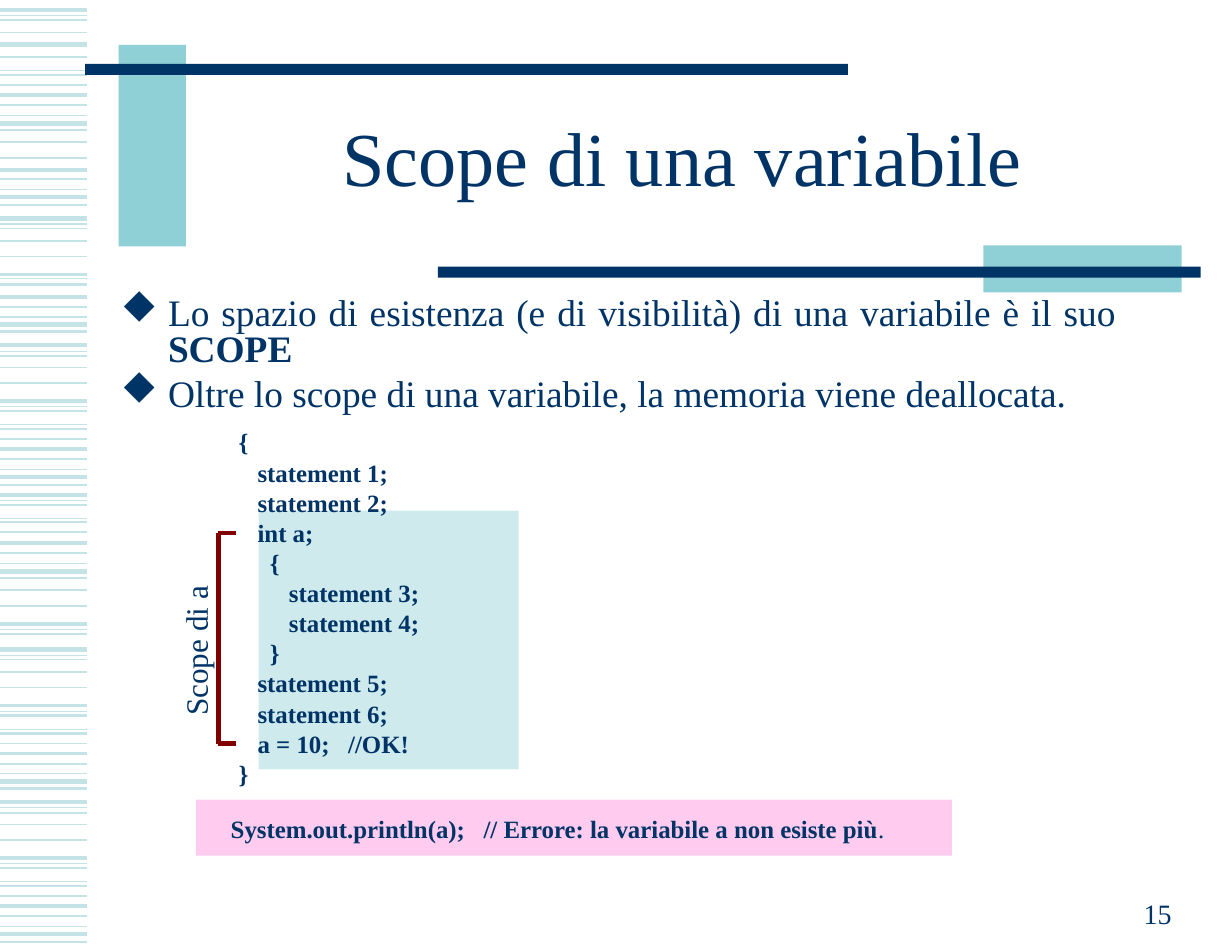
from lxml import etree
from pptx import Presentation
from pptx.dml.color import RGBColor
from pptx.enum.shapes import MSO_CONNECTOR, MSO_SHAPE
from pptx.enum.text import MSO_ANCHOR, MSO_AUTO_SIZE, PP_ALIGN
from pptx.oxml.ns import qn
from pptx.util import Inches, Pt

STRAIGHT = MSO_CONNECTOR.STRAIGHT
RECTANGLE = MSO_SHAPE.RECTANGLE
TOP, MIDDLE, BOTTOM = MSO_ANCHOR.TOP, MSO_ANCHOR.MIDDLE, MSO_ANCHOR.BOTTOM
LEFT, CENTER, RIGHT, JUSTIFY = PP_ALIGN.LEFT, PP_ALIGN.CENTER, PP_ALIGN.RIGHT, PP_ALIGN.JUSTIFY
GROW = MSO_AUTO_SIZE.SHAPE_TO_FIT_TEXT
FONT = "Times New Roman"
COLORS = {
    "stripe": "C3E3E7",
    "teal": "8FD0D7",
    "navy": "003366",
    "pink": "FF99DF",
    "aqua": "9FD7DD",
    "maroon": "800000",
}

deck = Presentation()
deck.slide_width, deck.slide_height = Inches(11), Inches(8.5)
page = deck.slides.add_slide(deck.slide_layouts[6])


def add_box(at, anchor, side=0.11, edge=0.06):
    box = page.shapes.add_textbox(*map(Inches, at))
    settings = {
        "word_wrap": True, "vertical_anchor": anchor,
        "margin_left": Inches(side), "margin_right": Inches(side),
        "margin_top": Inches(edge), "margin_bottom": Inches(edge),
    }
    for name, value in settings.items():
        setattr(box.text_frame, name, value)
    return box


def fill_para(para, spans, size, align=LEFT, spacing=1.0, before=0, margin=0, hanging=0):
    settings = {"alignment": align, "line_spacing": spacing, "space_before": Pt(before)}
    for name, value in settings.items():
        setattr(para, name, value)
    properties = para._p.get_or_add_pPr()
    properties.set("marL", str(Inches(margin)))
    properties.set("indent", str(-Inches(hanging)))
    for text, bold in spans:
        span = para.add_run()
        span.text = text
        for name, value in {"name": FONT, "size": Pt(size), "bold": bold}.items():
            setattr(span.font, name, value)
        span.font.color.rgb = RGBColor.from_string(COLORS["navy"])
    return properties


stripes = {
    0.75: [0.14, 0.63, 1.03, 1.69, 2, 2.49, 2.83, 3.14, 3.63, 3.79, 4.19, 4.47, 4.63,
           5.03, 5.62, 5.85, 6.35, 6.51, 6.91, 7.21, 7.71, 7.87, 8.27],
    1: [0.18, 0.29, 0.76, 1.27, 1.41, 2.04, 2.15, 2.29, 3.18, 3.28, 3.42, 3.92, 4.75,
        5.27, 5.41, 5.89, 6, 6.14, 6.64, 7.26, 7.36, 7.5, 8],
    1.5: [0.51, 0.67, 0.94, 1.16, 1.6, 1.83, 2.54, 2.74, 2.96, 3.67, 3.83, 4.1, 4.33,
          4.51, 4.66, 4.94, 5.16, 5.66, 6.39, 6.55, 6.82, 7.04, 7.75, 7.91, 8.18, 8.41],
    2.25: [0.85, 1.52, 2.45, 2.65, 3.58, 4.01, 4.42, 4.85, 5.57, 6.3, 6.73, 7.66, 8.09],
    3: [0.09, 0.4, 1.1, 1.76, 1.95, 2.9, 3.08, 4.26, 5.1, 5.8, 6.98, 7.16, 8.34],
}
lines = [
    ((0, y, 0.78, y), "stripe", weight) for weight, tops in stripes.items() for y in tops
]
lines += [
    ((1.95, 4.76, 1.95, 6.64), "maroon", 3),
    ((1.95, 4.76, 2.11, 4.76), "maroon", 3),
    ((1.95, 6.64, 2.11, 6.64), "maroon", 3),
]
for ends, color, weight in lines:
    line = page.shapes.add_connector(STRAIGHT, *map(Inches, ends))
    line.line.color.rgb = RGBColor.from_string(COLORS[color])
    line.line.width = Pt(weight)
    etree.SubElement(line._element.spPr, qn("a:effectLst"))

rectangles = [
    ((1.06, 0.4, 0.6, 1.8), "teal", None),
    ((0.76, 0.57, 6.81, 0.1), "navy", None),
    ((8.78, 2.19, 1.77, 0.42), "teal", None),
    ((3.91, 2.38, 6.81, 0.1), "navy", None),
    ((1.75, 7.14, 6.75, 0.5), "pink", 50),
    ((2.31, 4.56, 2.32, 2.31), "aqua", 50),
]
for at, color, opacity in rectangles:
    shape = page.shapes.add_shape(RECTANGLE, *map(Inches, at))
    shape.shadow.inherit = False
    shape.fill.solid()
    shape.fill.fore_color.rgb = RGBColor.from_string(COLORS[color])
    shape.line.fill.background()
    if opacity:
        tint = shape._element.spPr.find(qn("a:solidFill"))[0]
        etree.SubElement(tint, qn("a:alpha")).set("val", str(opacity * 1000))

number = add_box((7.93, 7.79, 2.64, 0.57), BOTTOM)
fill_para(number.text_frame.paragraphs[0], [("15", False)], 18, RIGHT)

title = add_box((1.65, 0.75, 8.88, 1.42), MIDDLE)
fill_para(title.text_frame.paragraphs[0], [("Scope di una variabile", False)], 49, CENTER, 0.85)

body = add_box((0.97, 2.6, 9.11, 5.28), TOP).text_frame
bullets = [
    [("Lo spazio di esistenza (e di visibilità) di una variabile è il suo ", False),
     ("SCOPE", True)],
    [("Oltre lo scope di una variabile, la memoria viene deallocata.", False)],
]
for index, spans in enumerate(bullets):
    para = body.add_paragraph() if index else body.paragraphs[0]
    properties = fill_para(para, spans, 24, JUSTIFY, 0.8, 6, 0.42, 0.42)
    bullet_color = etree.SubElement(properties, qn("a:buClr"))
    etree.SubElement(bullet_color, qn("a:srgbClr")).set("val", COLORS["navy"])
    bullet_font = etree.SubElement(properties, qn("a:buFont"))
    bullet_font.set("typeface", "Wingdings")
    bullet_font.set("charset", "2")
    etree.SubElement(properties, qn("a:buChar")).set("char", "u")

code = [
    (0, "{"),
    (0.17, "statement 1;"),
    (0.17, "statement 2;"),
    (0.17, "int a;"),
    (0.28, "{"),
    (0.45, "statement 3;"),
    (0.45, "statement 4;"),
    (0.28, "}"),
    (0.17, "statement 5;"),
    (0.17, "statement 6;"),
    (0.17, "a = 10;   //OK!"),
    (0, "}"),
]
for index, (indent, text) in enumerate(code):
    spacing = 0.8 if index else 1.2
    fill_para(body.add_paragraph(), [(text, True)], 16, LEFT, spacing, 4, 1.05 + indent)

error = [("System.out.println(a);   // Errore: la variabile a non esiste più", True), (".", False)]
fill_para(body.add_paragraph(), error, 16, LEFT, 0.8, 20, 0.98)

label = add_box((1.07, 5.59, 1.36, 0.44), TOP, 0.1, 0.05)
label.rotation = 270
label.text_frame.word_wrap = False
label.text_frame.auto_size = GROW
fill_para(label.text_frame.paragraphs[0], [("Scope di a", False)], 20)

deck.save("out.pptx")
